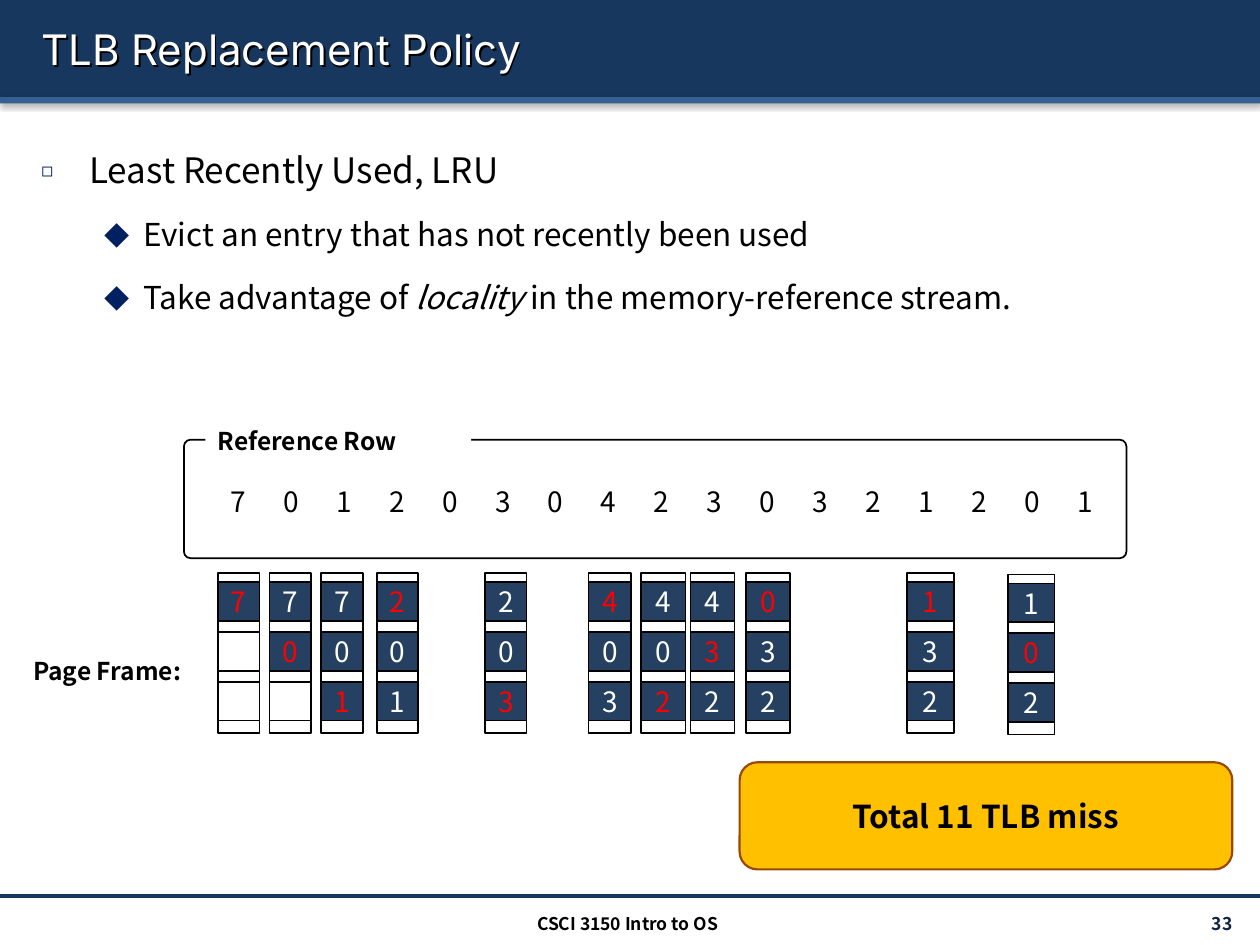
import pptx
import pptx.dml.color
import pptx.enum.shapes
import pptx.enum.text
import pptx.oxml
import pptx.util
from pptx.util import Inches

NS = 'xmlns:a="http://schemas.openxmlformats.org/drawingml/2006/main"'
FONT = "Noto Sans CJK KR"
SHAPE = pptx.enum.shapes.MSO_SHAPE
ALIGN = pptx.enum.text.PP_ALIGN
ANCHOR = pptx.enum.text.MSO_ANCHOR

REFS = "70120304230321201"
# left, width, top, digits from top to bottom, row that was replaced
FRAMES = [
    (1.73, 0.33, 4.55, "7", 0),
    (2.14, 0.33, 4.55, "70", 1),
    (2.55, 0.33, 4.55, "701", 2),
    (2.99, 0.33, 4.55, "201", 0),
    (3.85, 0.33, 4.55, "203", 2),
    (4.67, 0.34, 4.55, "403", 0),
    (5.09, 0.35, 4.55, "402", 2),
    (5.48, 0.35, 4.55, "432", 1),
    (5.92, 0.35, 4.55, "032", 0),
    (7.2, 0.37, 4.55, "132", 0),
    (8, 0.37, 4.56, "102", 1),
]
POINTS = [
    (0, ["Least Recently Used, LRU"]),
    (1, ["Evict an entry that has not recently been used"]),
    (1, ["Take advantage of ", "locality", " in the memory-reference stream."]),
]
# size, left margin, hanging indent, bullet sign, bullet size in percent
LEVELS = [(20, 0.38, 0.38, "◻", 55), (18, 0.81, 0.31, "◆", 80)]


def tint(hue):
    return pptx.dml.color.RGBColor.from_string(hue)


def cast(shape, blur, dist, angle, alpha):
    """Give the shape a black shadow."""
    shape.shadow.inherit = False
    effects = shape.element.spPr.find(pptx.oxml.ns.qn("a:effectLst"))
    effects.append(pptx.oxml.parse_xml(
        f'<a:outerShdw {NS} blurRad="{pptx.util.Pt(blur)}" '
        f'dist="{pptx.util.Pt(dist)}" dir="{angle * 60000}" '
        'algn="t" rotWithShape="0"><a:srgbClr val="000000">'
        f'<a:alpha val="{alpha * 1000}"/></a:srgbClr></a:outerShdw>'))


def style(run, size, hue, bold=False, font=FONT):
    run.font.size = pptx.util.Pt(size)
    run.font.name = font
    run.font.bold = bold
    run.font.color.rgb = tint(hue)


def write(shape, text, size, hue="000000", bold=False, align=ALIGN.CENTER,
          anchor=ANCHOR.MIDDLE, side=0.1, font=FONT):
    frame = shape.text_frame
    frame.text = text
    frame.word_wrap = True
    frame.vertical_anchor = anchor
    frame.margin_left = frame.margin_right = Inches(side)
    para = frame.paragraphs[0]
    para.alignment = align
    style(para.runs[0], size, hue, bold, font)


def add_text(slide, box, text, size, **look):
    shape = slide.shapes.add_textbox(*map(Inches, box))
    write(shape, text, size, **look)
    return shape


def add_box(slide, box, fill, line=None, width=1, kind=SHAPE.RECTANGLE):
    shape = slide.shapes.add_shape(kind, *map(Inches, box))
    shape.shadow.inherit = False
    shape.fill.solid()
    shape.fill.fore_color.rgb = tint(fill)
    if line:
        shape.line.color.rgb = tint(line)
        shape.line.width = pptx.util.Pt(width)
    else:
        shape.line.fill.background()
    return shape


def add_bar(slide, box, fill):
    cast(add_box(slide, box, fill), 3.1, 1.6, 90, 38)


def add_rule(slide, top):
    rule = slide.shapes.add_connector(
        pptx.enum.shapes.MSO_CONNECTOR.STRAIGHT,
        Inches(0), Inches(top), Inches(10), Inches(top))
    rule.line.color.rgb = tint("17375E")
    rule.line.width = pptx.util.Pt(2)
    rule.element.spPr.append(pptx.oxml.parse_xml(f"<a:effectLst {NS}/>"))


def add_title(slide, text):
    title = add_text(slide, (0.23, 0.07, 9.61, 0.64), text, 24, hue="FFFFFF",
                     align=ALIGN.LEFT, font="Inter")
    cast(title, 0, 1.5, 45, 100)


def add_points(slide):
    frame = slide.shapes.add_textbox(
        *map(Inches, (0.23, 0.96, 9.61, 2.2))).text_frame
    frame.word_wrap = True
    for i, (level, parts) in enumerate(POINTS):
        size, left, hang, sign, scale = LEVELS[level]
        para = frame.add_paragraph() if i else frame.paragraphs[0]
        para.level = level
        para.line_spacing = 1.5
        para.space_before = pptx.util.Pt(size * 0.2)
        props = para._p.get_or_add_pPr()
        props.set("marL", str(Inches(left)))
        props.set("indent", str(-Inches(hang)))
        for xml in (f'<a:buClr {NS}><a:srgbClr val="002060"/></a:buClr>',
                    f'<a:buSzPct {NS} val="{scale * 1000}"/>',
                    f'<a:buFont {NS} typeface="{FONT}"/>',
                    f'<a:buChar {NS} char="{sign}"/>'):
            props.append(pptx.oxml.parse_xml(xml))
        for part in parts:
            run = para.add_run()
            run.text = part
            style(run, size, "000000")
            run.font.italic = part == "locality"


def add_refs(slide):
    add_box(slide, (1.46, 3.49, 7.48, 0.94), "FFFFFF", "000000",
            kind=SHAPE.ROUNDED_RECTANGLE).adjustments[0] = 0.056
    label = add_box(slide, (1.63, 3.33, 2.11, 0.34), "FFFFFF")
    write(label, "Reference Row", 14, bold=True, align=ALIGN.LEFT,
          anchor=ANCHOR.TOP)
    for i, digit in enumerate(REFS):
        add_text(slide, (1.65 + 0.42 * i, 3.79, 0.48, 0.37), digit, 16, side=0)


def add_frame(slide, left, width, top, digits, miss):
    add_box(slide, (left, top, width, 1.27), "FFFFFF", "000000")
    for i in range(3):
        full = i < len(digits)
        cell = add_box(slide, (left, top + 0.07 + 0.395 * i, width, 0.31),
                       "254061" if full else "FFFFFF", "000000")
        if full:
            write(cell, digits[i], 16, "FF0000" if i == miss else "FFFFFF",
                  side=0)


def main():
    deck = pptx.Presentation()
    deck.slide_width, deck.slide_height = Inches(10), Inches(7.5)
    slide = deck.slides.add_slide(deck.slide_layouts[6])

    add_bar(slide, (0, 0, 10, 0.77), "17375E")
    add_bar(slide, (0, 0.77, 10, 0.05), "376092")
    add_rule(slide, 7.11)
    add_title(slide, "TLB Replacement Policy")
    add_points(slide)
    add_text(slide, (8.71, 7.21, 1.17, 0.24), "33", 10, hue="0F243E",
             bold=True, align=ALIGN.RIGHT)
    add_text(slide, (3.32, 7.2, 3.32, 0.24), "CSCI 3150 Intro to OS", 10,
             bold=True, anchor=ANCHOR.TOP)

    add_refs(slide)
    add_text(slide, (0.04, 5.16, 1.62, 0.34), "Page Frame:", 14, bold=True,
             anchor=ANCHOR.TOP)
    for frame in FRAMES:
        add_frame(slide, *frame)
    total = add_box(slide, (5.87, 6.05, 3.91, 0.85), "FFC000", "984807", 1.25,
                    SHAPE.ROUNDED_RECTANGLE)
    write(total, "Total 11 TLB miss", 18, bold=True, side=0.12)

    deck.save("out.pptx")


if __name__ == "__main__":
    main()
